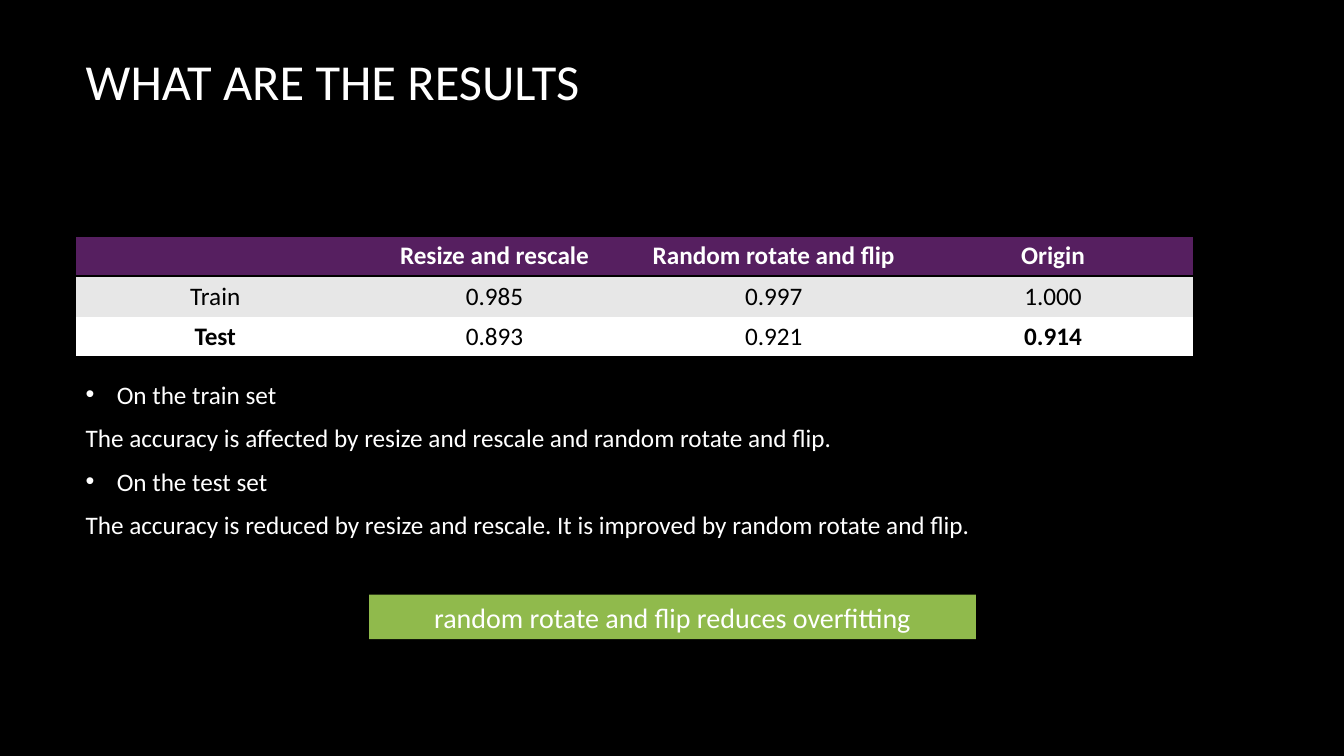
import dataclasses

import pptx
import pptx.dml.color
import pptx.enum.shapes
import pptx.enum.text
import pptx.oxml
import pptx.oxml.ns
import pptx.util

Inches = pptx.util.Inches
Pt = pptx.util.Pt
CENTER = pptx.enum.text.PP_ALIGN.CENTER
MIDDLE = pptx.enum.text.MSO_ANCHOR.MIDDLE
NO_STYLE_TABLE = "{2D5ABB26-0587-4C30-8999-92F81FD0307C}"


@dataclasses.dataclass(frozen=True)
class Theme:
    font: str = "Calibri"
    background: str = "000000"
    light: str = "FFFFFF"
    dark: str = "000000"
    header: str = "561F60"
    bands: tuple = ("E7E7E7", "FFFFFF")
    callout: str = "90BA4C"
    title_size: int = 36
    body_size: int = 18
    callout_size: int = 20


def rgb(value):
    return pptx.dml.color.RGBColor.from_string(value)


def set_attributes(target, values):
    for name, value in values.items():
        setattr(target, name, value)


def add_element(parent, xml):
    namespace = pptx.oxml.ns.nsdecls("a")
    parent.append(pptx.oxml.parse_xml(xml.replace(" ", f" {namespace} ", 1)))


class SlideBuilder:
    def __init__(self, presentation, theme):
        self.theme = theme
        self.slide = presentation.slides.add_slide(presentation.slide_layouts[5])
        self.fill(self.slide.background, theme.background)

    def fill(self, target, color):
        target.fill.solid()
        target.fill.fore_color.rgb = rgb(color)

    def set_text(self, paragraph, text, size, color, bold=False, alignment=None):
        paragraph.text = text
        paragraph.alignment = alignment
        set_attributes(paragraph.font, {"name": self.theme.font, "size": Pt(size), "bold": bold})
        paragraph.font.color.rgb = rgb(color)

    def title(self, text, left, top, width, height):
        title = self.slide.shapes.title
        set_attributes(title, {"left": Inches(left), "top": Inches(top),
                               "width": Inches(width), "height": Inches(height)})
        set_attributes(title.text_frame, {"vertical_anchor": MIDDLE, "word_wrap": True})
        self.set_text(title.text_frame.paragraphs[0], text, self.theme.title_size,
                      self.theme.light, alignment=pptx.enum.text.PP_ALIGN.LEFT)

    def table(self, rows, bold_cells, left, top, width, row_height):
        """Add a table whose first row is the header; bold_cells holds (row, column) pairs."""
        frame = self.slide.shapes.add_table(
            len(rows), len(rows[0]), Inches(left), Inches(top),
            Inches(width), Inches(row_height * len(rows)))
        table = frame.table
        table._tbl.tblPr.find(pptx.oxml.ns.qn("a:tableStyleId")).text = NO_STYLE_TABLE
        for row, texts in enumerate(rows):
            is_header = row == 0
            band = self.theme.header if is_header else self.theme.bands[(row - 1) % 2]
            color = self.theme.light if is_header else self.theme.dark
            edges = ["lnT", "lnB"] if is_header else ["lnB"] if row == len(rows) - 1 else []
            for column, text in enumerate(texts):
                cell = table.cell(row, column)
                self.set_text(cell.text_frame.paragraphs[0], text, self.theme.body_size, color,
                              is_header or (row, column) in bold_cells, CENTER)
                for edge in edges:
                    self.border(cell, edge)
                self.fill(cell, band)

    def border(self, cell, edge):
        add_element(cell._tc.get_or_add_tcPr(),
                    f'<a:{edge} w="{Pt(2)}"><a:solidFill><a:srgbClr val="{self.theme.dark}"/>'
                    f'</a:solidFill></a:{edge}>')

    def findings(self, pairs, left, top, width, height):
        """Add bulleted headings, each followed by a plain statement."""
        box = self.slide.shapes.add_textbox(
            Inches(left), Inches(top), Inches(width), Inches(height))
        frame = box.text_frame
        frame.word_wrap = True
        lines = [(text, index == 0) for pair in pairs for index, text in enumerate(pair)]
        for number, (text, has_bullet) in enumerate(lines):
            paragraph = frame.add_paragraph() if number else frame.paragraphs[0]
            if has_bullet:
                properties = paragraph._p.get_or_add_pPr()
                properties.set("marL", str(Inches(0.31)))
                properties.set("indent", str(Inches(-0.31)))
                add_element(properties, f'<a:buClr ><a:srgbClr val="{self.theme.light}"/></a:buClr>')
                add_element(properties, '<a:buFont typeface="Arial"/>')
                add_element(properties, '<a:buChar char="•"/>')
            paragraph.space_after = Pt(9.5)
            self.set_text(paragraph, text, self.theme.body_size, self.theme.light)

    def callout(self, text, left, top, width, height):
        shape = self.slide.shapes.add_shape(
            pptx.enum.shapes.MSO_SHAPE.RECTANGLE,
            Inches(left), Inches(top), Inches(width), Inches(height))
        shape.shadow.inherit = False
        self.fill(shape, self.theme.callout)
        shape.line.fill.background()
        set_attributes(shape.text_frame, {"vertical_anchor": MIDDLE, "word_wrap": True})
        self.set_text(shape.text_frame.paragraphs[0], text, self.theme.callout_size,
                      self.theme.light, alignment=CENTER)


def main():
    presentation = pptx.Presentation()
    set_attributes(presentation, {"slide_width": Inches(13.33), "slide_height": Inches(7.5)})
    builder = SlideBuilder(presentation, Theme())
    left, width = 0.75, 11.08
    builder.title("WHAT ARE THE RESULTS", left, 0, width, 1.59)
    builder.findings([
        ("On the train set",
         "The accuracy is affected by resize and rescale and random rotate and flip."),
        ("On the test set",
         "The accuracy is reduced by resize and rescale. It is improved by random rotate and flip."),
    ], left, 3.71, width, 1.85)
    builder.table([
        ("", "Resize and rescale", "Random rotate and flip", "Origin"),
        ("Train", "0.985", "0.997", "1.000"),
        ("Test", "0.893", "0.921", "0.914"),
    ], {(2, 0), (2, 3)}, left, 2.34, width, 0.4)
    builder.callout("random rotate and flip reduces overfitting", 3.66, 5.9, 6.02, 0.44)
    presentation.save("out.pptx")


if __name__ == "__main__":
    main()
